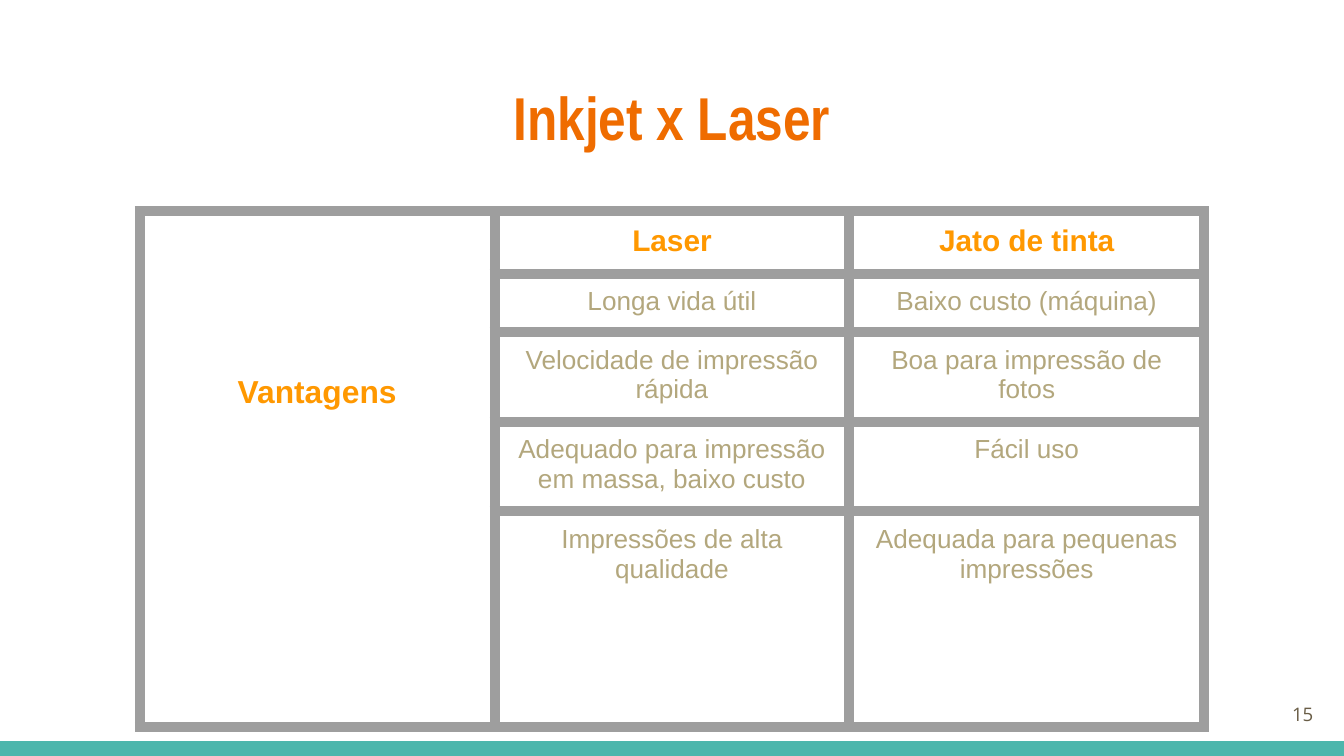
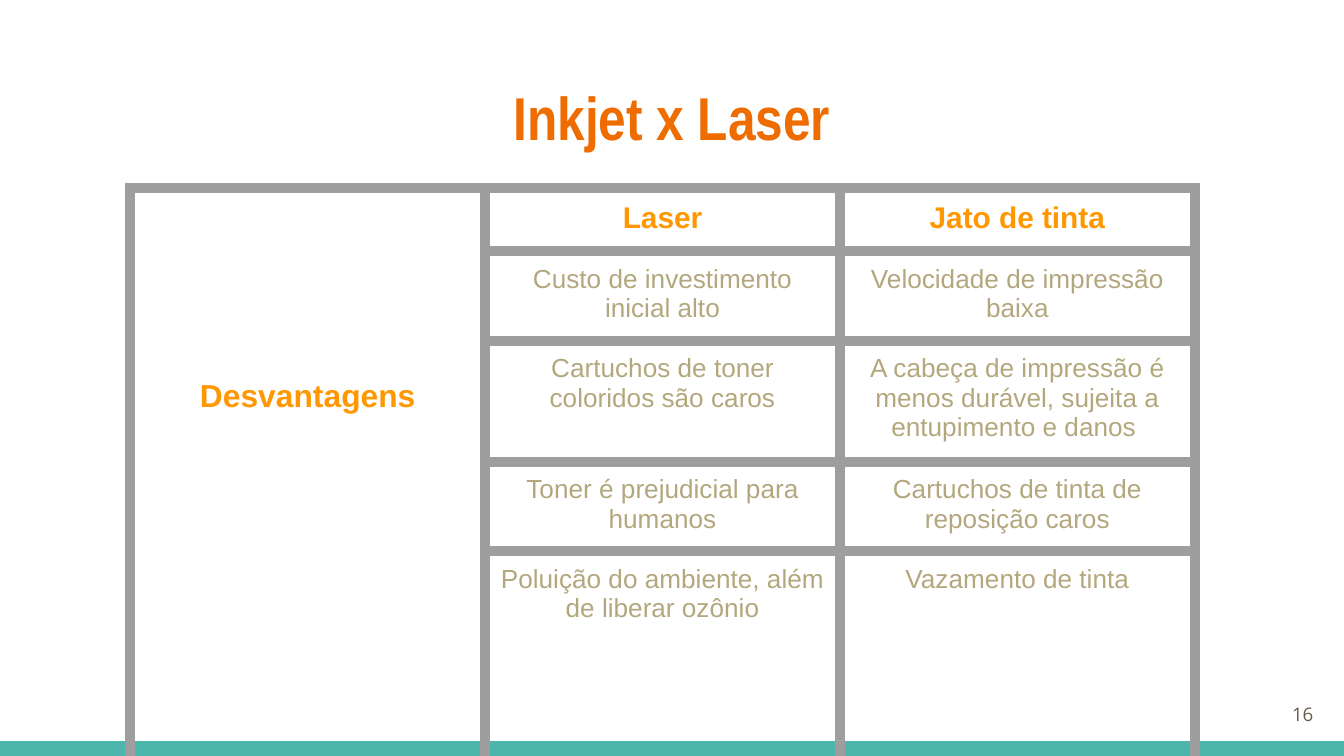
"""Build two slides comparing laser and inkjet printers in tables."""
from lxml.etree import SubElement
from pptx import Presentation
from pptx.dml.color import RGBColor
from pptx.enum.shapes import MSO_SHAPE as SHAPE
from pptx.enum.text import MSO_ANCHOR as ANCHOR, MSO_AUTO_SIZE as AUTO, PP_ALIGN as ALIGN
from pptx.oxml import parse_xml
from pptx.oxml.ns import nsdecls, qn
from pptx.util import Inches, Pt

ORANGE, AMBER, SAND = "EF6C00", "FF9800", "B3A77D"
TEAL, BROWN, GRAY = "4DB6AC", "695D46", "9E9E9E"
W = 10
H = W * 9 / 16
COL, ROW = 2.64, 0.42
PAD, BAND = 0.1, 0.11

TABLES = [
    dict(number=15, heading="Vantagens", left=1.04, top=1.57, drop=1.22,
         rows=[("Longa vida útil", "Baixo custo (máquina)"),
               ("Velocidade de impressão rápida", "Boa para impressão de fotos"),
               ("Adequado para impressão em massa, baixo custo", "Fácil uso"),
               ("Impressões de alta qualidade", "Adequada para pequenas impressões")]),
    dict(number=16, heading="Desvantagens", left=0.97, top=1.4, drop=1.42,
         rows=[("Custo de investimento inicial alto", "Velocidade de impressão baixa"),
               ("Cartuchos de toner coloridos são caros",
                "A cabeça de impressão é menos durável, sujeita a entupimento e danos "),
               ("Toner é prejudicial para humanos", "Cartuchos de tinta de reposição caros"),
               ("Poluição do ambiente, além de liberar ozônio", "Vazamento de tinta")]),
]


def write(tf, text, size, font, color, bold=False, align=ALIGN.CENTER):
    tf.text = text
    tf.word_wrap = True
    p = tf.paragraphs[0]
    p.alignment = align
    p.font.size, p.font.name, p.font.bold = Pt(size), font, bold
    p.font.color.rgb = RGBColor.from_string(color)


def style_cell(cell):
    cell.margin_left = cell.margin_right = Inches(PAD)
    cell.margin_top = cell.margin_bottom = Inches(PAD)
    cell.fill.background()
    tc_pr = cell._tc.get_or_add_tcPr()
    for i, side in enumerate("LRTB"):
        ln = parse_xml(f'<a:ln{side} {nsdecls("a")} w="{Pt(6)}"/>')
        fill = SubElement(ln, qn("a:solidFill"))
        SubElement(fill, qn("a:srgbClr"), val=GRAY)
        tc_pr.insert(i, ln)


prs = Presentation()
prs.slide_width, prs.slide_height = Inches(W), Inches(H)
layout = prs.slide_layouts[5]

for n, content in enumerate(TABLES):
    s = prs.slides.add_slide(layout)
    if n == 0:
        band = s.shapes.add_shape(SHAPE.RECTANGLE, 0, Inches(H - BAND), Inches(W), Inches(BAND))
        band.shadow.inherit = False
        band.fill.solid()
        band.fill.fore_color.rgb = RGBColor.from_string(TEAL)
        band.line.fill.background()
        layout.shapes.element.append(band.element)

    title = s.shapes.title
    title.left, title.top = Inches(0.34), Inches(0.48)
    title.width, title.height = Inches(W - 0.68), Inches(0.77)
    write(title.text_frame, "Inkjet x Laser", 32.4, "Arial Narrow", ORANGE, True)
    title.text_frame.auto_size = AUTO.NONE
    title.text_frame.vertical_anchor = ANCHOR.MIDDLE

    sp = s.shapes.add_textbox(Inches(9.27), Inches(5.1), Inches(0.6), Inches(0.43))
    tf = sp.text_frame
    write(tf, str(content["number"]), 10, "Open Sans", BROWN, align=ALIGN.RIGHT)
    tf.margin_left = tf.margin_right = tf.margin_top = tf.margin_bottom = Inches(PAD)
    tf.vertical_anchor = ANCHOR.MIDDLE

    rows = [("Laser", "Jato de tinta")] + content["rows"]
    frame = s.shapes.add_table(len(rows), 3, Inches(content["left"]), Inches(content["top"]),
                               Inches(3 * COL), Inches(len(rows) * ROW))
    table = frame.table
    table.first_row = table.horz_banding = False
    for cell in table.iter_cells():
        style_cell(cell)

    heading = table.cell(0, 0)
    heading.merge(table.cell(len(rows) - 1, 0))
    heading.margin_top = Inches(content["drop"])
    write(heading.text_frame, content["heading"], 17, "Arial", AMBER, True)

    for r, texts in enumerate(rows):
        size, color = (16, AMBER) if r == 0 else (14, SAND)
        for c, text in enumerate(texts, 1):
            write(table.cell(r, c).text_frame, text, size, "Arial", color, r == 0)

prs.save("out.pptx")
